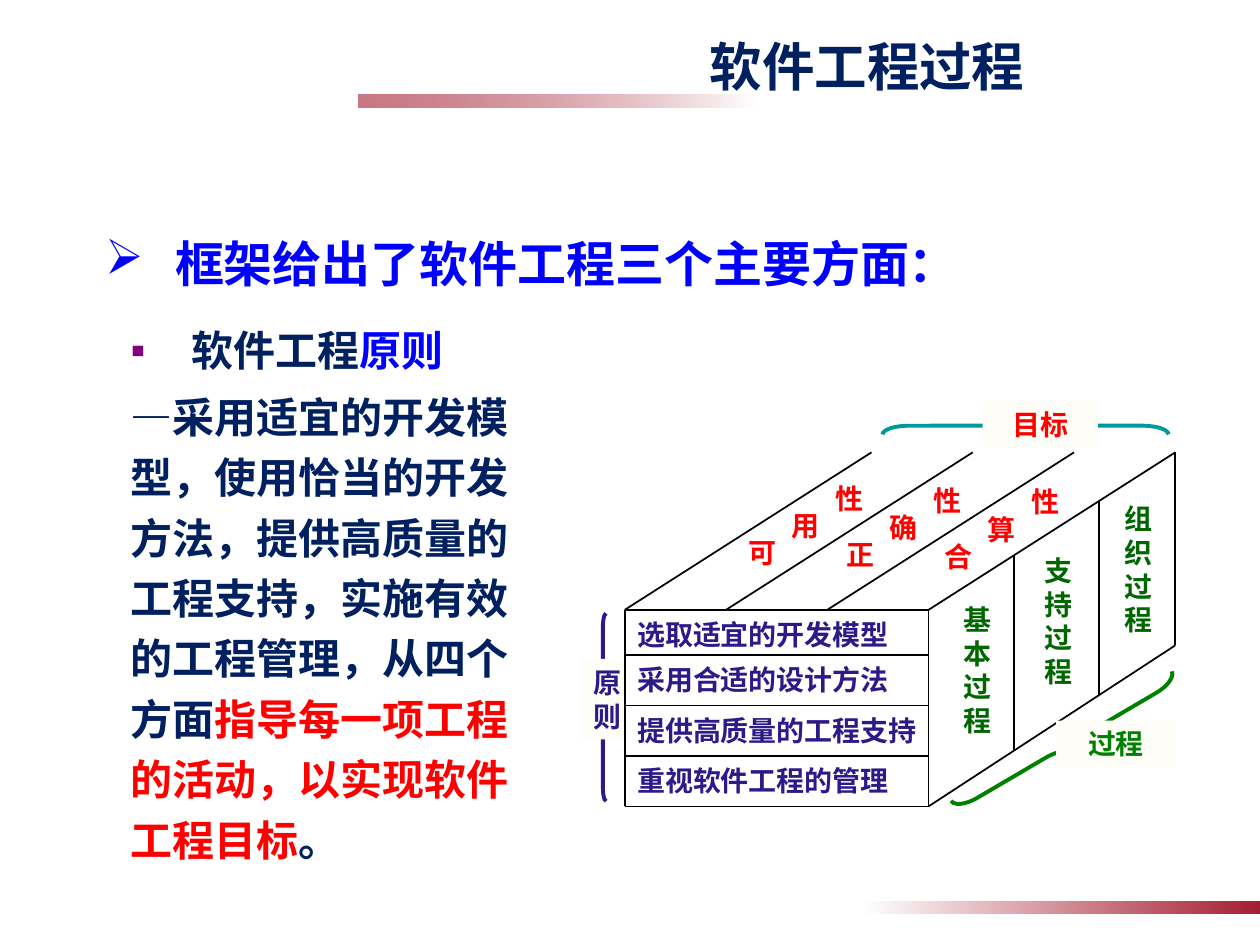
from dataclasses import dataclass
from lxml import etree
from pptx import Presentation
from pptx.dml.color import RGBColor
from pptx.enum import shapes, text
from pptx.oxml.ns import qn
from pptx.util import Pt


@dataclass(frozen=True)
class Theme:
    """Colours, fonts and type sizes of the slide."""
    navy: str = "002060"
    blue: str = "0000FF"
    red: str = "FF0000"
    wine: str = "A41E31"
    plum: str = "800080"
    indigo: str = "2C1A88"
    teal: str = "009999"
    green: str = "008000"
    forest: str = "006600"
    cream: str = "FEFDF8"
    black: str = "000000"
    white: str = "FFFFFF"
    sans: str = "Noto Sans CJK SC"
    serif: str = "Times New Roman"
    top: int = 30
    head: int = 28
    body: int = 24
    label: int = 16


T = Theme()
LEFT, MID = text.PP_ALIGN.LEFT, text.PP_ALIGN.CENTER


def rgb(code):
    """Turn a hex code into a colour."""
    return RGBColor.from_string(code)


def place(item, box):
    """Move an item to a box given in points."""
    item.left, item.top, item.width, item.height = map(Pt, box)


def style(para, size, pitch, face=T.sans, color=None, align=MID):
    """Set the type of a whole paragraph."""
    para.alignment = align
    para.line_spacing = Pt(pitch)
    font = para.font
    font.size, font.bold, font.name = Pt(size), True, face
    if color:
        font.color.rgb = rgb(color)
    props = para._p.pPr.find(qn("a:defRPr"))
    etree.SubElement(props, qn("a:ea"), typeface=T.sans)


def bullet(para, mark=None, hang=0, color=None):
    """Give a paragraph a hanging bullet, or none."""
    props = para._p.get_or_add_pPr()
    props.set("marL", str(Pt(hang)))
    props.set("indent", str(Pt(-hang)))
    if color:
        tint = etree.SubElement(props, qn("a:buClr"))
        etree.SubElement(tint, qn("a:srgbClr"), val=color)
    if mark:
        etree.SubElement(props, qn("a:buChar"), char=mark)
    else:
        etree.SubElement(props, qn("a:buNone"))


def runs(para, parts):
    """Add coloured runs to a paragraph."""
    for words, color in parts:
        run = para.add_run()
        run.text = words
        run.font.color.rgb = rgb(color)


def label(slide, box, lines, color, fill=None, wrap=False):
    """Place a small centred label, one paragraph a line."""
    if fill:
        item = slide.shapes.add_shape(shapes.MSO_SHAPE.RECTANGLE, *map(Pt, box))
        item.shadow.inherit = False
        item.fill.solid()
        item.fill.fore_color.rgb = rgb(fill)
        item.line.fill.background()
    else:
        item = slide.shapes.add_textbox(*map(Pt, box))
    frame = item.text_frame
    frame.word_wrap = wrap
    frame.vertical_anchor = text.MSO_ANCHOR.TOP
    frame.text = "\n".join(lines)
    for para in frame.paragraphs:
        style(para, T.label, 19.3, color=color)


def line(slide, start, end):
    """Draw one thin black edge."""
    edge = slide.shapes.add_connector(
        shapes.MSO_CONNECTOR.STRAIGHT, *map(Pt, (*start, *end)))
    edge.line.color.rgb = rgb(T.black)
    edge.line.width = Pt(1)
    etree.SubElement(edge._element.spPr, qn("a:effectLst"))


def brace(slide, box, color, bend, turn=0):
    """Draw a turned brace."""
    item = slide.shapes.add_shape(shapes.MSO_SHAPE.LEFT_BRACE, *map(Pt, box))
    item.shadow.inherit = False
    item.fill.background()
    item.line.color.rgb = rgb(color)
    item.line.width = Pt(2.25)
    item.adjustments[0] = bend
    item.rotation = turn


def bar(slide, box, turn=0, alpha=100):
    """Draw a bar that fades from white to wine."""
    item = slide.shapes.add_shape(shapes.MSO_SHAPE.RECTANGLE, *map(Pt, box))
    item.shadow.inherit = False
    item.line.fill.background()
    item.rotation = turn
    item.fill.gradient()
    item.fill.gradient_angle = 0
    for stop, color, pos in zip(item.fill.gradient_stops, (T.white, T.wine), (0, 1)):
        stop.color.rgb = rgb(color)
        stop.position = pos
    if alpha < 100:
        tint = item._element.spPr.findall(".//" + qn("a:srgbClr"))[-1]
        etree.SubElement(tint, qn("a:alpha"), val=str(alpha * 1000))


def banner(slide, box):
    """Place the topic at the top."""
    frame = slide.shapes.add_textbox(*map(Pt, box)).text_frame
    frame.word_wrap = True
    frame.vertical_anchor = text.MSO_ANCHOR.MIDDLE
    frame.text = "软件工程过程"
    style(frame.paragraphs[0], T.top, 36, color=T.navy)


def heading(slide, box):
    """Fill the title placeholder."""
    item = slide.shapes.title
    place(item, box)
    frame = item.text_frame
    frame.auto_size = text.MSO_AUTO_SIZE.NONE
    frame.vertical_anchor = text.MSO_ANCHOR.TOP
    frame.margin_left = frame.margin_right = Pt(6)
    frame.margin_top = Pt(3)
    frame.text = "框架给出了软件工程三个主要方面："
    para = frame.paragraphs[0]
    bullet(para, "➢", 40)
    style(para, T.head, 36, T.serif, T.blue, LEFT)


def body(slide, box):
    """Fill the body placeholder."""
    item = slide.placeholders[1]
    place(item, box)
    frame = item.text_frame
    frame.auto_size = text.MSO_AUTO_SIZE.NONE
    frame.margin_top = Pt(6)
    first, rest = frame.paragraphs[0], frame.add_paragraph()
    bullet(first, "▪", 35, T.plum)
    bullet(rest)
    for para, gap in ((first, 0), (rest, 3.5)):
        para.space_before = Pt(gap)
        style(para, T.body, 34.5, T.serif, align=LEFT)
    runs(first, [("软件工程", T.navy), ("原则", T.blue)])
    runs(rest, [
        ("—采用适宜的开发模型，使用恰当的开发方法，提供高质量的工程支持，"
         "实施有效的工程管理，从四个方面", T.navy),
        ("指导每一项工程的活动，以实现软件工程目标", T.red),
        ("。", T.navy)])


def cube(slide, box):
    """Draw the framework cube with goals, principles and processes."""
    x, y, w, h = box
    deep, rise = 141, 90
    right, far, front, base = x + w - deep, x + w, y + rise, y + h
    back = base - rise - 2
    brace(slide, (x + 224, y - 97, 10, 163.5), T.teal, 1.53, 90)
    brace(slide, (x + 246.5, y + 94.3, 12.2, 146.2), T.green, 1.14, 239.6)
    brace(slide, (x - 14.3, y + 92, 3.6, 107.3), T.indigo, 2.23)

    rows = [front] + [base - 28.8 * n for n in (3, 2, 1)]
    for level in rows + [base]:
        line(slide, (x, level), (right, level))
    for n in range(4):
        step = (right - x) * n / 3
        line(slide, (x + deep + step, y), (x + step, front))
    for part in (0, 0.345, 0.69, 1):
        side = right + deep * part
        line(slide, (side, base + (back - base) * part), (side, front - rise * part))
    line(slide, (x, base), (x, front))
    line(slide, (far, back), (right, base))

    for k, goal in enumerate(("可用性", "正确性", "合算性")):
        for n, sign in enumerate(goal):
            spot = (x + 63 + 56 * k + 25 * n, y + 44 + k - 15.5 * n, 31, 26.6)
            label(slide, spot, [sign], T.red)
    rules = ("选取适宜的开发模型", "采用合适的设计方法", "提供高质量的工程支持", "重视软件工程的管理")
    for level, rule in zip(rows, rules):
        label(slide, (x - 1.5, level + 0.8, 16 * len(rule) + 17, 26.6), [rule], T.indigo)
    label(slide, (x + 186.5, y + 82, 25, 85), ["基本过程"], T.forest, wrap=True)
    label(slide, (x + 232.5, y + 54, 31, 85), "支持过程", T.forest)
    label(slide, (x + 278, y + 24.5, 31, 85), "组织过程", T.forest)
    label(slide, (x + 204.5, y - 29.5, 66, 26.6), ["目标"], T.red, T.cream, True)
    label(slide, (x + 246.5, y + 153.3, 68.4, 26.6), ["过程"], T.green, T.cream, True)
    label(slide, (x - 25, y + 118, 24.5, 46), ["原则"], T.indigo, T.cream, True)


def main():
    """Build the slide and save it."""
    deck = Presentation()
    deck.slide_width, deck.slide_height = Pt(720), Pt(540)
    slide = deck.slides.add_slide(deck.slide_layouts[1])
    bar(slide, (205, 54, 227, 7.2), 180, 60)
    bar(slide, (493, 515, 227, 7.2))
    banner(slide, (271, 15, 449, 45))
    body(slide, (67.5, 174, 252, 292))
    heading(slide, (54, 128, 590, 60.5))
    cube(slide, (357, 258.5, 314.6, 202.3))
    deck.save("out.pptx")


if __name__ == "__main__":
    main()
